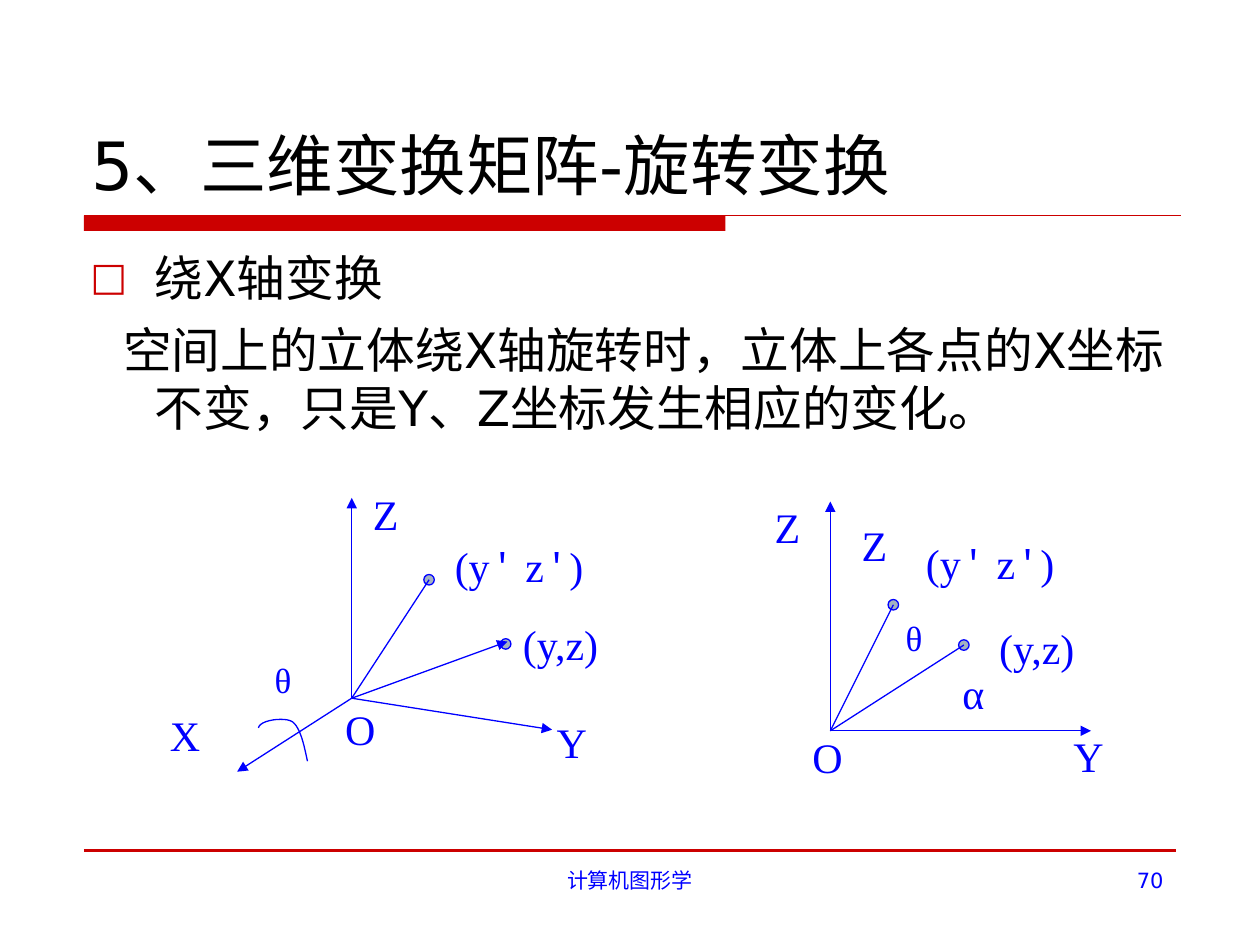
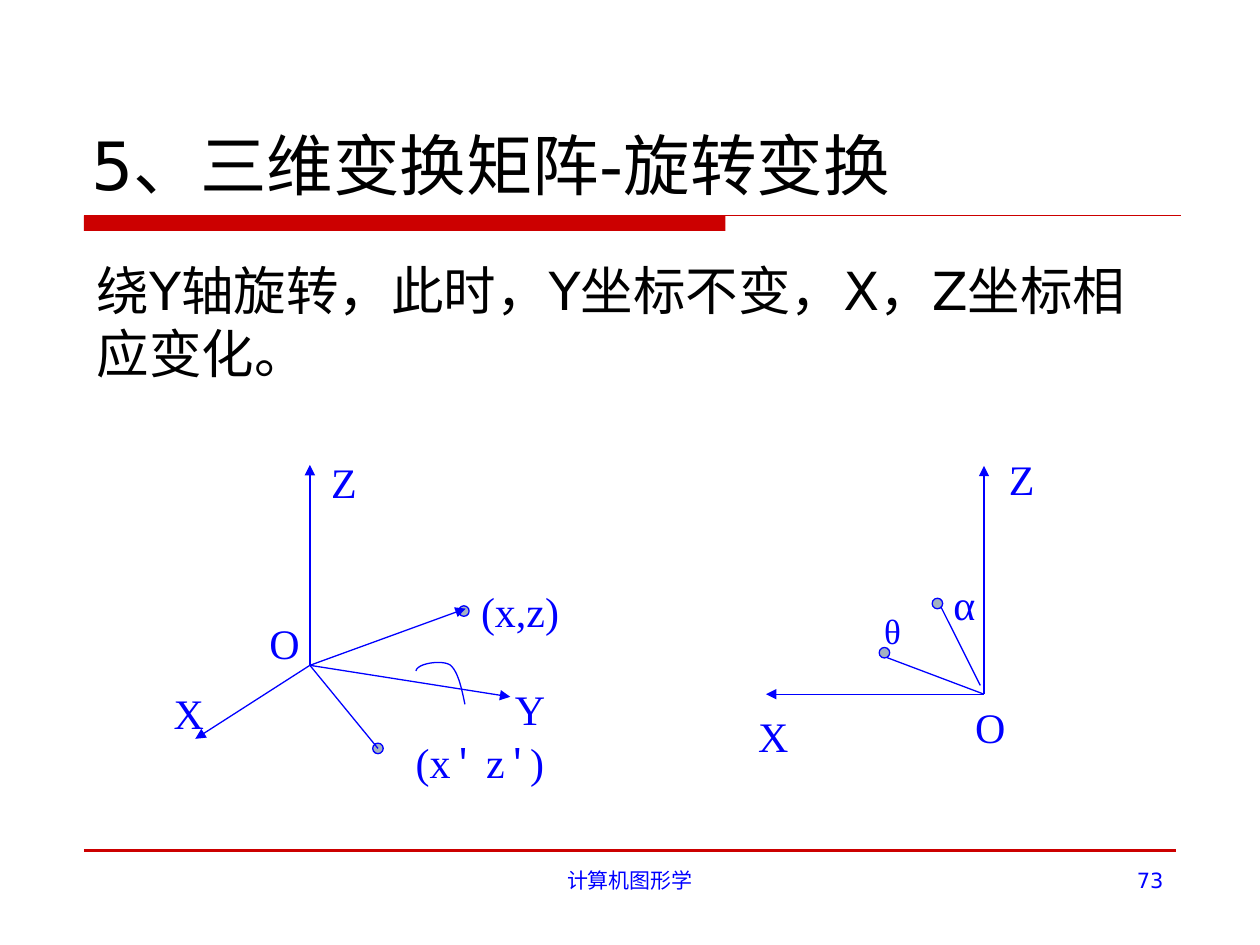
"""Two slides on rotating solids about the X and Y axes."""
from dataclasses import dataclass
from itertools import groupby

from lxml import etree
from pptx import Presentation
from pptx import util as u
from pptx.dml.color import RGBColor
from pptx.enum import shapes, text
from pptx.oxml import ns

COLORS = {"red": "CC0000", "blue": "0000FF", "dot": "A3B2C1", "black": "000000"}
BODY_FONT, LABEL_FONT, PRIME_FONT = "DejaVu Sans", "Times New Roman", "Noto Sans Mono"
TITLE = "5、三维变换矩阵-旋转变换"
FOOTER = "计算机图形学"
LABEL_WIDTHS = {"X": 31.7, "Y": 31.7, "O": 31.7, "Z": 28.8, "α": 26.6, "θ": 23.8,
                "(y,z)": 59, "(x,z)": 59, "(y' z')": 87.8, "(x' z')": 87.8}
ARC_CURVES = [((0, 0), (-2, -9.5), (-4, -19), (-8.5, -22.5)),
              ((-8.5, -22.5), (-13, -25.5), (-27.5, -23.5), (-28, -19))]
DOT_SIZE = 6
Offset = tuple[float, float]


@dataclass
class Ray:
    """A line whose ends are offsets from the diagram's origin."""
    end: Offset
    arrow: bool = False
    start: Offset = (0, 0)


@dataclass
class Label:
    """A label whose box corner is an offset from the diagram's origin."""
    content: str
    left: float
    top: float


@dataclass
class Diagram:
    """Axes, rays, dots and labels around one origin."""
    origin: Offset
    rays: list[Ray]
    dots: list[Offset]
    labels: list[Label]
    arc: Offset | None = None


@dataclass
class BodyLine:
    """A body paragraph with its indents and optional bullet."""
    content: str
    margin: float = 0
    indent: float = 0
    bullet: str = ""


@dataclass
class Page:
    """What differs from slide to slide."""
    number: int
    body_left: float
    body_top: float
    body_size: float
    body: list[BodyLine]
    diagrams: list[Diagram]


def space_diagram(origin: Offset, primed_dot: Offset, arc: Offset,
                  labels: list[Label], plain: str) -> Diagram:
    """Return the three-axis view, with its common axes and first ray."""
    axes = [Ray(end, True) for end in ((0, -114.5), (114.5, 18), (-65.5, 42))]
    common = [Label("Z", 5, -123.1), Label("Y", 110, 7.1), Label(plain, 90.7, -49)]
    return Diagram(origin, [*axes, Ray((89, -32.4), True), Ray(primed_dot)],
                   [primed_dot, (88, -31)], common + labels, arc)


PAGES = [
    Page(70, 44.6, 138.2, 27.8, [
        BodyLine("绕X轴变换", 36.7, -36.7, "□"),
        BodyLine("空间上的立体绕X轴旋转时，立体上各点的X坐标不变，只是Y、Z坐标发生相应的变化。",
                 36.7, -18),
    ], [
        space_diagram((201, 399), (44.2, -67.7), (-25.3, 36), [
            Label("X", -111, 2.9), Label("O", -10.9, -0.8),
            Label("(y' z')", 51.8, -93.7), Label("θ", -51.1, -26)], "(y,z)"),
        Diagram((474.5, 417.6),
                [Ray((0, -131), True), Ray((149, 0), True), Ray((76.3, -49)), Ray((36, -72))],
                [(76.3, -49), (36, -72)],
                [Label("θ", 36, -69.1), Label("Y", 131.8, -3.6), Label("Z", 10.8, -124.5),
                 Label("α", 68.4, -39.6), Label("O", -17.3, -2.9),
                 Label("(y' z')", 47.5, -113.8), Label("(y,z)", 89.3, -65.5),
                 Label("Z", -38.9, -134.6)]),
    ]),
    Page(73, 48.2, 144, 30, [
        BodyLine("绕Y轴旋转，此时，Y坐标不变，X，Z坐标相应变化。"),
    ], [
        space_diagram((177.1, 380.2), (38.9, 47.5), (88.6, 22.3), [
            Label("X", -85, 9.3), Label("O", -30.2, -31),
            Label("(x' z')", 53.3, 37.4)], "(x,z)"),
        Diagram((562.3, 396.7),
                [Ray((0, -130.5), True), Ray((-124.6, 0), True), Ray((-55.4, -20.9)),
                 Ray((-24.5, -49.7), start=(-2.1, -5))],
                [(-56.9, -23.7), (-26.6, -51.8)],
                [Label("θ", -64.1, -51.8), Label("X", -136.1, 5.8), Label("α", -24.5, -69.8),
                 Label("O", -12.2, 0.7), Label("Z", 7.2, -141.1)]),
    ]),
]


def rgb(name: str) -> RGBColor:
    """Return a palette colour."""
    return RGBColor.from_string(COLORS[name])


def write(paragraph, content: str, *, size: float, color: str = "blue",
          font: str = BODY_FONT, align=text.PP_ALIGN.LEFT) -> None:
    """Write text into a paragraph, giving prime marks their own font."""
    paragraph.alignment = align
    for is_prime, letters in groupby(content, lambda letter: letter == "'"):
        run = paragraph.add_run()
        run.text = "".join(letters)
        run.font.size = u.Pt(size)
        run.font.name = PRIME_FONT if is_prime else font
        run.font.color.rgb = rgb(color)
        east_asian = etree.SubElement(run.font._element, ns.qn("a:ea"))
        east_asian.set("typeface", run.font.name)


def add_text_frame(parent, left: float, top: float, width: float, height: float,
                   wrap: bool = True):
    """Add a text box and return its frame."""
    box = parent.add_textbox(u.Pt(left), u.Pt(top), u.Pt(width), u.Pt(height))
    box.text_frame.word_wrap = wrap
    return box.text_frame


def add_line(parent, start: Offset, end: Offset, color: str = "blue",
             width: float = 0.75, arrow: bool = False) -> None:
    """Draw a straight line, with an arrowhead at its end if asked."""
    connector = parent.add_connector(shapes.MSO_CONNECTOR.STRAIGHT,
                                     *(u.Pt(value) for value in (*start, *end)))
    connector.line.color.rgb = rgb(color)
    connector.line.width = u.Pt(width)
    if arrow:
        etree.SubElement(connector.line._get_or_add_ln(), ns.qn("a:tailEnd"), type="triangle")
    etree.SubElement(connector._element.spPr, ns.qn("a:effectLst"))


def add_preset(parent, kind, left: float, top: float, width: float, height: float, fill: str):
    """Add a filled preset shape without shadow."""
    shape = parent.add_shape(kind, u.Pt(left), u.Pt(top), u.Pt(width), u.Pt(height))
    shape.shadow.inherit = False
    shape.fill.solid()
    shape.fill.fore_color.rgb = rgb(fill)
    return shape


def shift(origin: Offset, offset: Offset) -> Offset:
    """Return the origin moved by an offset."""
    return origin[0] + offset[0], origin[1] + offset[1]


def curve_point(curve: tuple[Offset, ...], t: float) -> Offset:
    """Return the point at t on a cubic curve."""
    weights = ((1 - t) ** 3, 3 * t * (1 - t) ** 2, 3 * t * t * (1 - t), t ** 3)
    x, y = (sum(weight * point[axis] for weight, point in zip(weights, curve))
            for axis in (0, 1))
    return x, y


def add_arc(parent, start: Offset, steps: int = 12) -> None:
    """Draw the rotation arc."""
    points = [shift(start, curve_point(curve, step / steps))
              for curve in ARC_CURVES for step in range(1, steps + 1)]
    builder = parent.build_freeform(u.Pt(start[0]), u.Pt(start[1]))
    builder.add_line_segments([(u.Pt(x), u.Pt(y)) for x, y in points], close=False)
    arc = builder.convert_to_shape()
    arc.shadow.inherit = False
    arc.fill.background()
    arc.line.color.rgb = rgb("blue")
    arc.line.width = u.Pt(0.75)


def add_diagram(slide, diagram: Diagram) -> None:
    """Draw one coordinate diagram as a group."""
    parent = slide.shapes.add_group_shape().shapes
    for offset in diagram.dots:
        x, y = shift(diagram.origin, offset)
        dot = add_preset(parent, shapes.MSO_SHAPE.OVAL, x - DOT_SIZE / 2, y - DOT_SIZE / 2,
                         DOT_SIZE, DOT_SIZE, "dot")
        dot.line.color.rgb = rgb("blue")
        dot.line.width = u.Pt(0.75)
    for ray in diagram.rays:
        add_line(parent, shift(diagram.origin, ray.start), shift(diagram.origin, ray.end),
                 arrow=ray.arrow)
    if diagram.arc:
        add_arc(parent, shift(diagram.origin, diagram.arc))
    for label in diagram.labels:
        left, top = shift(diagram.origin, (label.left, label.top))
        size = 20 if label.content == "θ" else 24
        frame = add_text_frame(parent, left, top, LABEL_WIDTHS[label.content],
                               size * 1.2 + 7.2, wrap=False)
        write(frame.paragraphs[0], label.content, size=size, font=LABEL_FONT)


def add_title(slide) -> None:
    """Place and fill the title placeholder."""
    title = slide.shapes.title
    title.left, title.top, title.width, title.height = (
        u.Pt(value) for value in (45, 24, 630, 96))
    frame = title.text_frame
    frame.auto_size = text.MSO_AUTO_SIZE.NONE
    frame.vertical_anchor = text.MSO_ANCHOR.BOTTOM
    write(frame.paragraphs[0], TITLE, size=38, color="black")


def add_frame(slide, number: int) -> None:
    """Draw the title band, footer rule, footer and slide number."""
    bar = add_preset(slide.shapes, shapes.MSO_SHAPE.RECTANGLE, 48, 123.2, 366.5, 8.8, "red")
    bar.line.fill.background()
    add_line(slide.shapes, (48, 123.2), (674.7, 123.2), "red")
    add_line(slide.shapes, (48, 486), (672, 486), "red", 2.25)
    for content, left, width, align in ((FOOTER, 246, 228, text.PP_ALIGN.CENTER),
                                        (str(number), 516, 156, text.PP_ALIGN.RIGHT)):
        frame = add_text_frame(slide.shapes, left, 492, width, 37.5)
        write(frame.paragraphs[0], content, size=12, align=align)


def add_body(slide, page: Page) -> None:
    """Write the body paragraphs."""
    frame = add_text_frame(slide.shapes, page.body_left, page.body_top, 630, 126)
    for index, line in enumerate(page.body):
        paragraph = frame.add_paragraph() if index else frame.paragraphs[0]
        properties = paragraph._p.get_or_add_pPr()
        properties.set("marL", str(u.Pt(line.margin)))
        properties.set("indent", str(u.Pt(line.indent)))
        if index:
            paragraph.space_before = u.Pt(7.5)
        if line.bullet:
            color = etree.SubElement(properties, ns.qn("a:buClr"))
            etree.SubElement(color, ns.qn("a:srgbClr"), val=COLORS["red"])
            etree.SubElement(properties, ns.qn("a:buSzPct"), val="80000")
            etree.SubElement(properties, ns.qn("a:buFont"), typeface=BODY_FONT)
            etree.SubElement(properties, ns.qn("a:buChar"), char=line.bullet)
        write(paragraph, line.content, size=page.body_size, color="black")


def main() -> None:
    """Build and save the presentation."""
    presentation = Presentation()
    presentation.slide_width, presentation.slide_height = u.Pt(720), u.Pt(540)
    for page in PAGES:
        slide = presentation.slides.add_slide(presentation.slide_layouts[5])
        add_frame(slide, page.number)
        add_title(slide)
        add_body(slide, page)
        for diagram in page.diagrams:
            add_diagram(slide, diagram)
    presentation.save("out.pptx")


if __name__ == "__main__":
    main()
